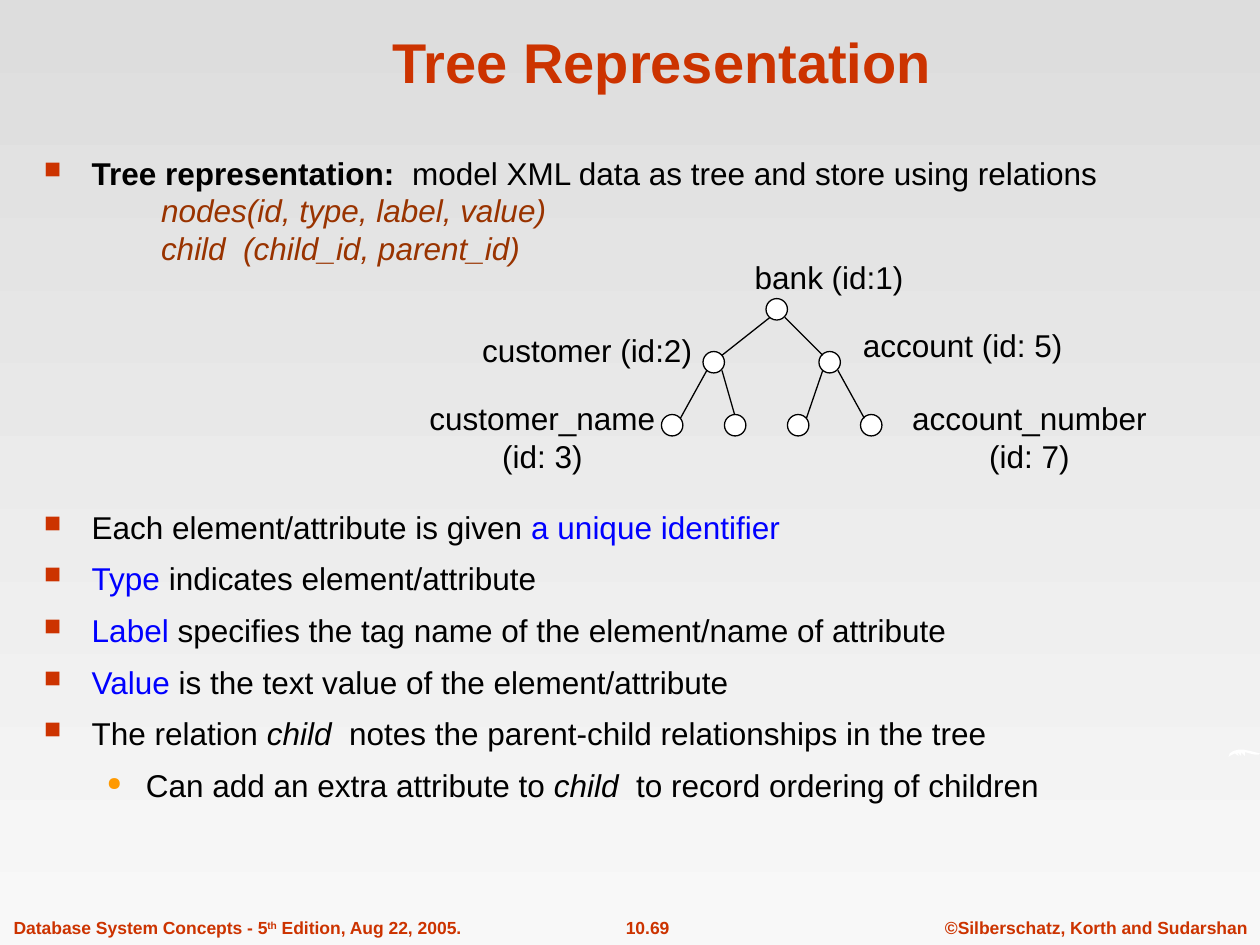
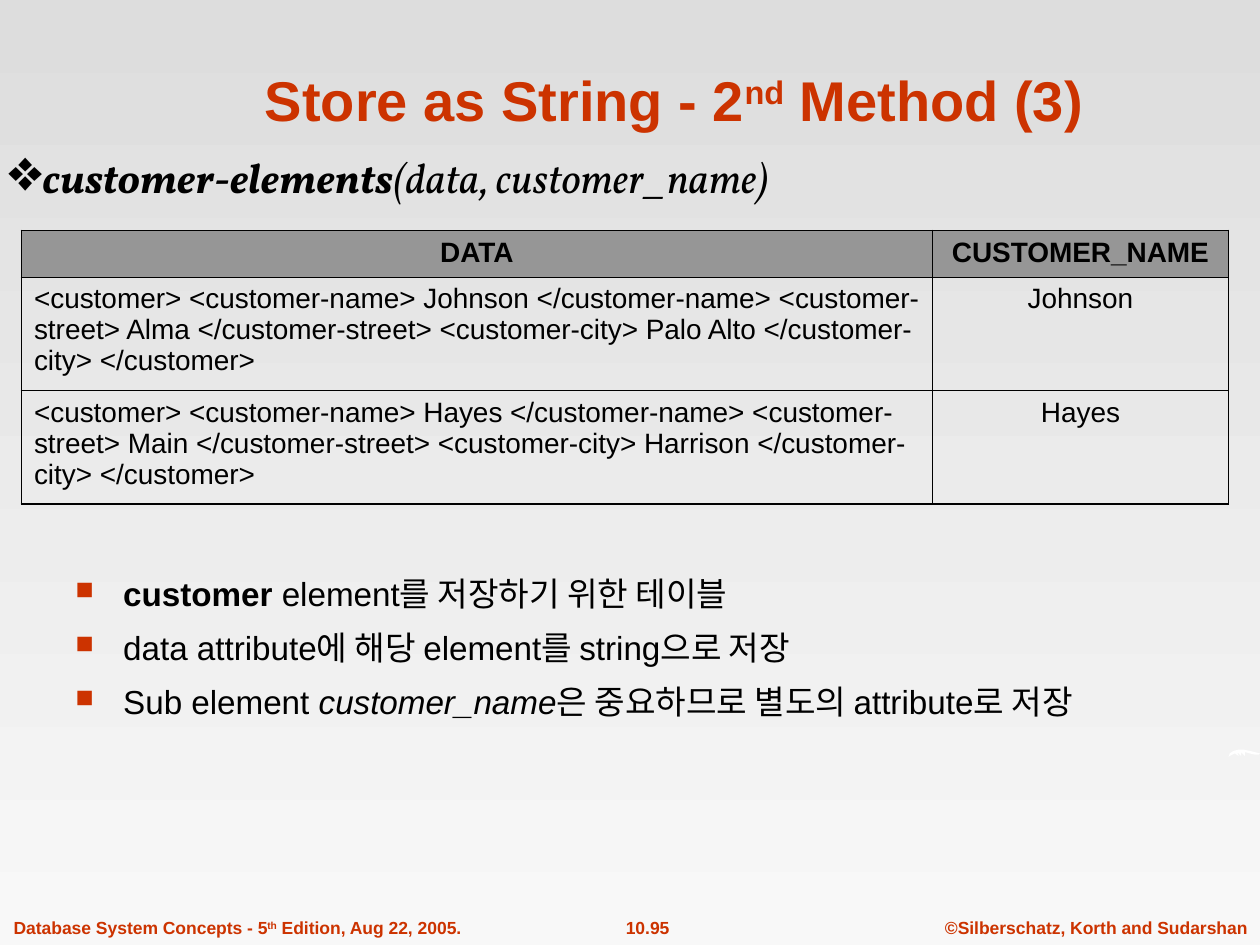
import pptx
import pptx.dml.color
import pptx.enum.shapes
import pptx.enum.text
import pptx.oxml
import pptx.oxml.ns
import pptx.util
from pptx.util import Inches

RGBColor = pptx.dml.color.RGBColor
RUST = RGBColor(0xCC, 0x33, 0x00)
BROWN = RGBColor(0x99, 0x33, 0x00)
BLUE = RGBColor(0x00, 0x00, 0xFF)
ORANGE = RGBColor(0xFF, 0x99, 0x00)
BLACK = RGBColor(0x00, 0x00, 0x00)
WHITE = RGBColor(0xFF, 0xFF, 0xFF)
GREY = RGBColor(0x96, 0x96, 0x96)
BG_TOP = RGBColor(0xDD, 0xDD, 0xDD)
BG_BOTTOM = RGBColor(0xF8, 0xF8, 0xF8)
NS = pptx.oxml.ns.nsdecls("a")
CENTER = pptx.enum.text.PP_ALIGN.CENTER
LEFT = pptx.enum.text.PP_ALIGN.LEFT
BOTTOM = pptx.enum.text.MSO_ANCHOR.BOTTOM


def add_box(s, x, y, w, h, wrap=True):
    tf = s.shapes.add_textbox(Inches(x), Inches(y), Inches(w), Inches(h)).text_frame
    tf.word_wrap = wrap
    return tf


def write(tf, *runs, size=18, color=BLACK, bold=False, italic=False, font="Arial", align=LEFT,
          before=0, bullet=None, bullet_color=RUST, bullet_size=75, margin=0, indent=0):
    p = tf.paragraphs[-1]
    if p.runs:
        p = tf.add_paragraph()
        p.space_before = pptx.util.Pt(before)
    p.alignment = align
    pPr = p._p.get_or_add_pPr()
    pPr.set("marL", str(Inches(margin)))
    pPr.set("indent", str(Inches(indent)))
    if bullet:
        for xml in (f'<a:buClr {NS}><a:srgbClr val="{bullet_color}"/></a:buClr>',
                    f'<a:buSzPct {NS} val="{bullet_size * 1000}"/>',
                    f'<a:buChar {NS} char="{bullet}"/>'):
            pPr.append(pptx.oxml.parse_xml(xml))
    for run in runs:
        text, change = (run, {}) if isinstance(run, str) else run
        r = p.add_run()
        r.text = text
        r.font.name = font
        r.font.size = pptx.util.Pt(size)
        r.font.bold = change.get("bold", bold)
        r.font.italic = change.get("italic", italic)
        r.font.color.rgb = change.get("color", color)
        if change.get("sup"):
            r._r.get_or_add_rPr().set("baseline", "30000")


BOLD = {"bold": True}
ITALIC = {"italic": True}
KEY = {"color": BLUE}
SUP = {"sup": True}
SQUARE = dict(bullet="■", margin=0.38, indent=-0.38)
SWOOSH = [(9.75, 6.01), (9.76, 5.98), (9.79, 5.96), (9.83, 5.95), (9.87, 5.95), (9.92, 5.96),
          (9.96, 5.97), (10, 5.98), (9.99, 5.99), (9.96, 5.99), (9.92, 5.98), (9.88, 5.97),
          (9.88, 6), (9.85, 5.97), (9.85, 6), (9.82, 5.97), (9.83, 6), (9.8, 5.98),
          (9.78, 5.99), (9.76, 6)]

prs = pptx.Presentation()
prs.slide_width = Inches(10)
prs.slide_height = Inches(7.5)

pages = [
    ("10.69", (0.84, 0.13, 8.83, 0.67), ["Tree Representation"]),
    ("10.95", (1.53, 0.16, 7.64, 0.94), ["Store as String - 2", ("nd", SUP), " Method (3)"]),
]
for number, title_box, title in pages:
    s = prs.slides.add_slide(prs.slide_layouts[6])
    fill = s.background.fill
    fill.gradient()
    fill.gradient_angle = 270
    for stop, color, position in zip(fill.gradient_stops, (BG_TOP, BG_BOTTOM), (0, 1)):
        stop.color.rgb = color
        stop.position = position

    footers = [
        (7.4, 2.6, CENTER, ["©Silberschatz, Korth and Sudarshan"]),
        (4.61, 1.06, CENTER, [number]),
        (0.01, 3.76, LEFT, ["Database System Concepts - 5", ("th", SUP), " Edition, Aug 22, 2005."]),
    ]
    for x, w, align, runs in footers:
        write(add_box(s, x, 7.23, w, 0.27, wrap=False), *runs,
              size=10, color=RUST, bold=True, align=align)

    points = [(Inches(x), Inches(y)) for x, y in SWOOSH]
    builder = s.shapes.build_freeform(*points[0])
    builder.add_line_segments(points[1:], close=True)
    sp = builder.convert_to_shape()
    sp.shadow.inherit = False
    sp.fill.solid()
    sp.fill.fore_color.rgb = WHITE
    sp.line.fill.background()

    tf = add_box(s, *title_box)
    tf.vertical_anchor = BOTTOM
    write(tf, *title, size=32, color=RUST, bold=True, align=CENTER)

tree_slide, string_slide = prs.slides

s = tree_slide
tf = add_box(s, 0.25, 1.17, 9.5, 5.78)
write(tf, ("Tree representation:  ", BOLD), "model XML data as tree and store using relations", **SQUARE)
for schema in ("nodes(id, type, label, value)", "child  (child_id, parent_id)"):
    write(tf, schema, color=BROWN, italic=True, margin=0.93)
bullets = [
    ["Each element/attribute is given ", ("a unique identifier", KEY)],
    [("Type ", KEY), "indicates element/attribute"],
    [("Label ", KEY), "specifies the tag name of the element/name of attribute"],
    [("Value", KEY), " is the text value of the element/attribute"],
    ["The relation ", ("child ", ITALIC), " notes the parent-child relationships in the tree"],
]
for i, runs in enumerate(bullets):
    write(tf, *runs, before=7.9 if i else 137.5, **SQUARE)
write(tf, "Can add an extra attribute to ", ("child ", ITALIC), " to record ordering of children",
      before=7.9, bullet="●", bullet_color=ORANGE, bullet_size=60, margin=0.81, indent=-0.31)

nodes = {
    "bank": (6.08, 2.37),
    "customer": (5.58, 2.79),
    "account": (6.5, 2.79),
    "leaf1": (5.25, 3.29),
    "leaf2": (5.75, 3.29),
    "leaf3": (6.25, 3.29),
    "leaf4": (6.83, 3.29),
}
for x, y in nodes.values():
    sp = s.shapes.add_shape(pptx.enum.shapes.MSO_SHAPE.OVAL,
                            Inches(x), Inches(y), Inches(0.17), Inches(0.17))
    sp.shadow.inherit = False
    sp.fill.solid()
    sp.fill.fore_color.rgb = WHITE
    sp.line.color.rgb = BLACK
    sp.line.width = pptx.util.Pt(0.75)

edges = [
    ("bank", "customer", 0.03, 0.15, 0.03),
    ("bank", "account", 0.15, 0.03, 0.03),
    ("customer", "leaf1", 0.03, 0.15, 0.03),
    ("customer", "leaf2", 0.15, 0.08, 0),
    ("account", "leaf3", 0.03, 0.15, 0.03),
    ("account", "leaf4", 0.15, 0.03, 0.03),
]
for parent, child, start_dx, end_dx, end_dy in edges:
    (px, py), (cx, cy) = nodes[parent], nodes[child]
    line = s.shapes.add_connector(pptx.enum.shapes.MSO_CONNECTOR.STRAIGHT,
                                  Inches(px + start_dx), Inches(py + 0.15),
                                  Inches(cx + end_dx), Inches(cy + end_dy))
    line.line.color.rgb = BLACK
    line.line.width = pptx.util.Pt(0.75)
    line._element.spPr.append(pptx.oxml.parse_xml(f"<a:effectLst {NS}/>"))

labels = [
    (5.84, 2, 1.48, ["bank (id:1)"]),
    (3.68, 2.58, 1.96, ["customer (id:2)"]),
    (6.7, 2.54, 1.88, ["account (id: 5)"]),
    (3.26, 3.12, 2.09, ["customer_name", "(id: 3)"]),
    (7.09, 3.12, 2.16, ["account_number", "(id: 7)"]),
]
for x, y, w, lines in labels:
    tf = add_box(s, x, y, w, 0.1 + 0.3 * len(lines), wrap=False)
    for text in lines:
        write(tf, text, align=CENTER)

s = string_slide
tf = add_box(s, 0.5, 4.5, 8.67, 2.42)
bullets = [
    [("customer", BOLD), " element를 저장하기 위한 테이블"],
    ["data attribute에 해당 element를 string으로 저장"],
    ["Sub element ", ("customer_name", ITALIC), "은 중요하므로 별도의 attribute로 저장"],
]
for runs in bullets:
    write(tf, *runs, size=19, before=8.2, **SQUARE)

rows = [
    ("DATA", "CUSTOMER_NAME"),
    ("<customer> <customer-name> Johnson </customer-name> <customer-street> Alma </customer-street> "
     "<customer-city> Palo Alto </customer-city> </customer>", "Johnson"),
    ("<customer> <customer-name> Hayes </customer-name> <customer-street> Main </customer-street> "
     "<customer-city> Harrison </customer-city> </customer>", "Hayes"),
]
table = s.shapes.add_table(3, 2, Inches(0.17), Inches(1.83), Inches(9.58), Inches(2.17)).table
table.first_row = False
table.horz_banding = False
for column, width in zip(table.columns, (7.23, 2.35)):
    column.width = Inches(width)
for row, height in zip(table.rows, (0.37, 0.9, 0.9)):
    row.height = Inches(height)
for i, texts in enumerate(rows):
    header = i == 0
    for j, text in enumerate(texts):
        cell = table.cell(i, j)
        tcPr = cell._tc.get_or_add_tcPr()
        borders = {"L": 1.08, "R": 1.08, "T": 1.08 if header else 0.45, "B": 1.08 if i == 2 else 0.45}
        for side, width in borders.items():
            tcPr.append(pptx.oxml.parse_xml(
                f'<a:ln{side} {NS} w="{pptx.util.Pt(width)}"><a:solidFill>'
                f'<a:srgbClr val="{BLACK}"/></a:solidFill></a:ln{side}>'))
        if header:
            cell.fill.solid()
            cell.fill.fore_color.rgb = GREY
        else:
            cell.fill.background()
        write(cell.text_frame, text, size=16, bold=header, align=CENTER if header or j else LEFT)

write(add_box(s, -0.03, 1.15, 7.28, 0.5), ("customer-elements", BOLD), "(data, customer_name)",
      size=24, font="Vollkorn", italic=True, bullet="❖", bullet_color=BLACK, bullet_size=140)

prs.save("out.pptx")
